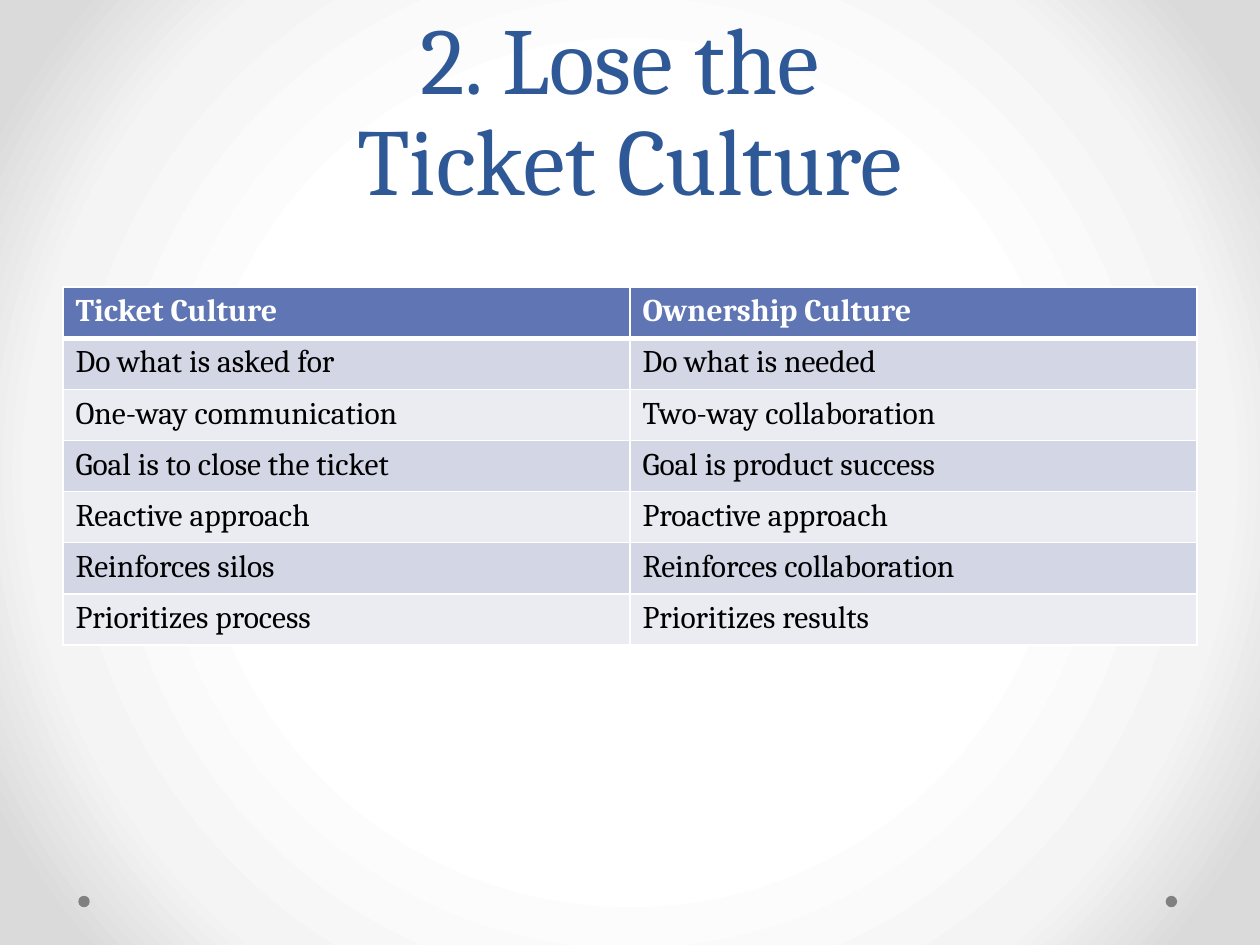
from pptx import Presentation
from pptx.dml.color import RGBColor
from pptx.enum.shapes import MSO_SHAPE
from pptx.enum.text import MSO_ANCHOR, PP_ALIGN
from pptx.oxml import parse_xml
from pptx.oxml.ns import nsdecls, qn
from pptx.util import Cm, Pt

OVAL = MSO_SHAPE.OVAL
BOTTOM = MSO_ANCHOR.BOTTOM
LEFT, CENTER = PP_ALIGN.LEFT, PP_ALIGN.CENTER

# Content
TITLE = "2. Lose the \vTicket Culture"
ROWS = [
    ("Ticket Culture", "Ownership Culture"),
    ("Do what is asked for", "Do what is needed"),
    ("One-way communication", "Two-way collaboration"),
    ("Goal is to close the ticket", "Goal is product success"),
    ("Reactive approach", "Proactive approach"),
    ("Reinforces silos", "Reinforces collaboration"),
    ("Prioritizes process", "Prioritizes results"),
]

THEME = {
    "font": "Cambria",
    "title_size": 54,
    "title_spacing": 58,
    "table_size": 18,
    "title": "2F5897",
    "header": "6076B4",
    "header_text": "FFFFFF",
    "bands": ("D2D6E5", "EAECF2"),
    "body_text": "000000",
    "border": "FFFFFF",
    "dot": "808080",
    "backdrop": ((50, "FFFFFF"), (76, "F4F4F4"), (92, "DADADA")),
}

# Layout in centimetres
PAGE_WIDTH, PAGE_HEIGHT = 25.4, 19.05
MARGIN = 1.27
CONTENT_WIDTH = PAGE_WIDTH - 2 * MARGIN
TITLE_HEIGHT = 4.45
TABLE_TOP, ROW_HEIGHT = 5.79, 1.03
DOT_SIZE, DOT_TOP, DOT_LEFTS = 0.23, 18.06, (1.58, 23.5)


def write(frame, text, *, size, color, bold=False, align=LEFT, spacing=None):
    """Fill a text frame with one formatted paragraph."""
    para = frame.paragraphs[0]
    para.text = text
    para.alignment = align
    if spacing:
        para.line_spacing = Pt(spacing)
    for span in para.runs:
        span.font.name = THEME["font"]
        span.font.size = Pt(size)
        span.font.bold = bold
        span.font.color.rgb = RGBColor.from_string(color)


def paint_backdrop(page):
    page.background.fill.gradient()
    gradient = page.element.find(".//" + qn("a:gradFill"))
    stops = "".join(
        f'<a:gs pos="{position * 1000}"><a:srgbClr val="{color}"/></a:gs>'
        for position, color in THEME["backdrop"]
    )
    gradient.getparent().replace(gradient, parse_xml(
        f'<a:gradFill {nsdecls("a")} rotWithShape="1"><a:gsLst>{stops}</a:gsLst>'
        '<a:path path="circle"><a:fillToRect l="50000" t="50000" r="50000" b="50000"/>'
        '</a:path></a:gradFill>'
    ))


def set_borders(cell, top, bottom):
    """Draw the cell's borders; side lines are always 1 pt."""
    properties = cell._tc.get_or_add_tcPr()
    widths = {"lnL": 1, "lnR": 1, "lnT": top, "lnB": bottom}
    for index, (tag, width) in enumerate(widths.items()):
        properties.insert(index, parse_xml(
            f'<a:{tag} {nsdecls("a")} w="{Pt(width)}"><a:solidFill>'
            f'<a:srgbClr val="{THEME["border"]}"/></a:solidFill></a:{tag}>'
        ))


def add_dot(page, left):
    dot = page.shapes.add_shape(OVAL, Cm(left), Cm(DOT_TOP), Cm(DOT_SIZE), Cm(DOT_SIZE))
    dot.shadow.inherit = False
    dot.fill.solid()
    dot.fill.fore_color.rgb = RGBColor.from_string(THEME["dot"])
    dot.line.fill.background()


def add_title(page):
    box = page.shapes.add_textbox(Cm(MARGIN), 0, Cm(CONTENT_WIDTH), Cm(TITLE_HEIGHT))
    frame = box.text_frame
    frame.word_wrap = True
    frame.vertical_anchor = BOTTOM
    write(frame, TITLE, size=THEME["title_size"], color=THEME["title"],
          align=CENTER, spacing=THEME["title_spacing"])


def add_comparison(page):
    table = page.shapes.add_table(
        len(ROWS), len(ROWS[0]), Cm(MARGIN), Cm(TABLE_TOP),
        Cm(CONTENT_WIDTH), Cm(ROW_HEIGHT * len(ROWS)),
    ).table
    for row, texts in enumerate(ROWS):
        header = row == 0
        fill = THEME["header"] if header else THEME["bands"][(row - 1) % 2]
        for column, text in enumerate(texts):
            cell = table.cell(row, column)
            cell.fill.solid()
            cell.fill.fore_color.rgb = RGBColor.from_string(fill)
            set_borders(cell, top=3 if row == 1 else 1, bottom=3 if header else 1)
            write(cell.text_frame, text, size=THEME["table_size"], bold=header,
                  color=THEME["header_text" if header else "body_text"])


def main():
    deck = Presentation()
    deck.slide_width, deck.slide_height = Cm(PAGE_WIDTH), Cm(PAGE_HEIGHT)
    page = deck.slides.add_slide(deck.slide_layouts[6])

    # Backdrop and corner dots
    paint_backdrop(page)
    for left in DOT_LEFTS:
        add_dot(page, left)

    # Title and table
    add_title(page)
    add_comparison(page)
    deck.save("out.pptx")


if __name__ == "__main__":
    main()
